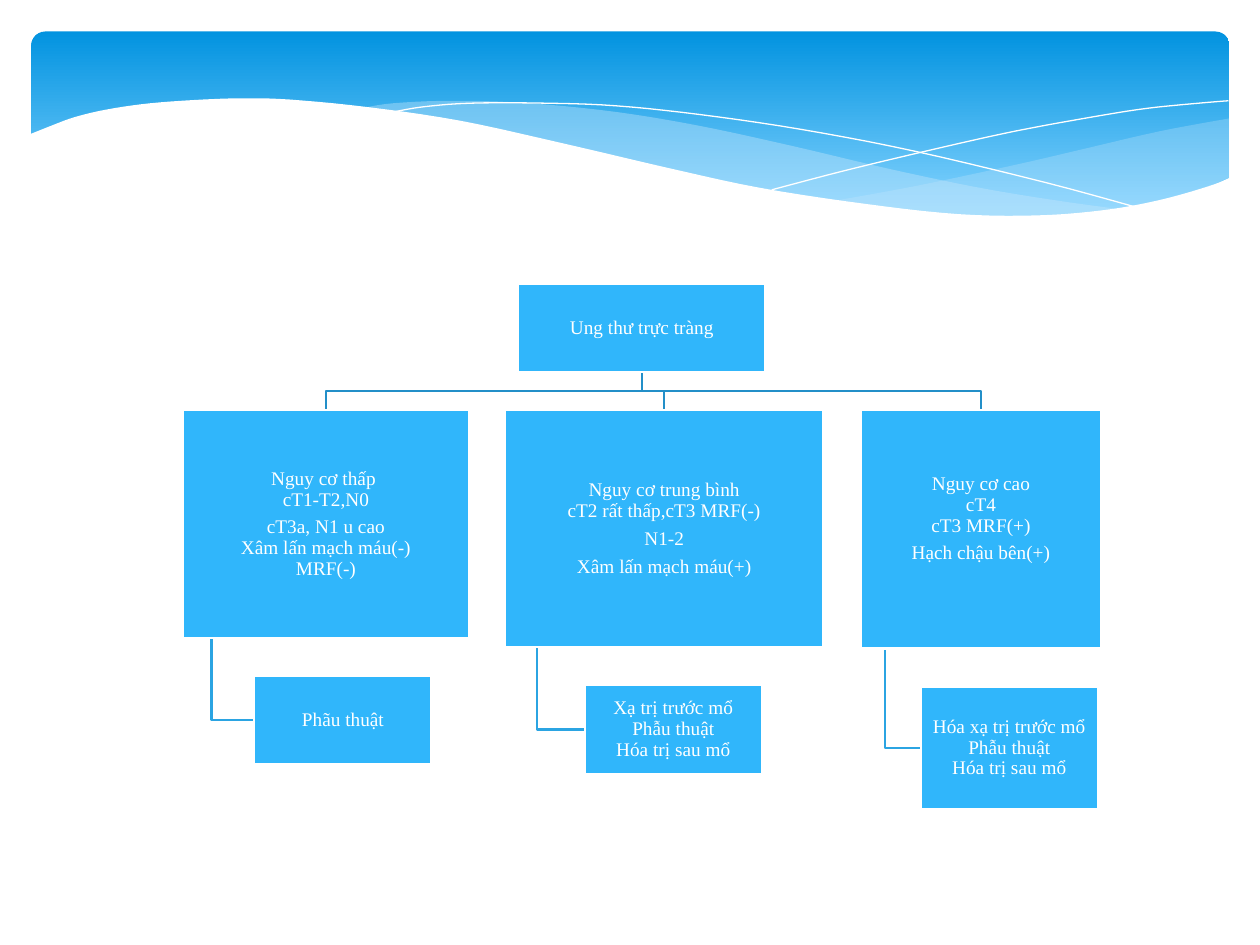
import copy

import pptx
import pptx.dml.color
import pptx.enum.shapes
import pptx.enum.text
import pptx.util
from lxml import etree

Pt = pptx.util.Pt
RGB = pptx.dml.color.RGBColor.from_string
RECTANGLE = pptx.enum.shapes.MSO_SHAPE.RECTANGLE
COLORS = {
    "banner_top": "0293E0", "banner_bottom": "81D2FE", "wave": "C6E7FC",
    "white": "FFFFFF", "box": "30B6FB", "branch": "238FC8", "elbow": "2BA4E2",
}
NS = "http://schemas.openxmlformats.org/drawingml/2006/main"

prs = pptx.Presentation()
prs.slide_width, prs.slide_height = Pt(720), Pt(540)
slide = prs.slides.add_slide(prs.slide_layouts[6])


def smooth(knots, steps=5):
    """Points of a Catmull-Rom curve through the knots."""
    ends = [knots[0], *knots, knots[-1]]
    points = [knots[0]]
    for a, b, c, d in zip(ends, ends[1:], ends[2:], ends[3:]):
        for step in range(1, steps + 1):
            t = step / steps
            points.append(tuple(
                (2 * q + (r - p) * t + (2 * p - 5 * q + 4 * r - s) * t**2
                 + (3 * q - p - 3 * r + s) * t**3) / 2
                for p, q, r, s in zip(a, b, c, d)))
    return points


def draw_path(points, fill=None, opacity=100, line=None, width=0.75):
    """Closed area when a fill is given, otherwise an open line."""
    points = [(Pt(x), Pt(y)) for x, y in points]
    builder = slide.shapes.build_freeform(*points[0], scale=1.0)
    builder.add_line_segments(points[1:], close=fill is not None)
    path = builder.convert_to_shape()
    path.shadow.inherit = False
    if fill:
        path.fill.solid()
        path.fill.fore_color.rgb = RGB(COLORS[fill])
        if opacity < 100:
            color = path.fill._xPr.find(f".//{{{NS}}}srgbClr")
            etree.SubElement(color, f"{{{NS}}}alpha", val=str(opacity * 1000))
    else:
        path.fill.background()
    if line:
        path.line.color.rgb = RGB(COLORS[line])
        path.line.width = Pt(width)
    else:
        path.line.fill.background()


# Banner with gradient
banner = slide.shapes.add_shape(
    pptx.enum.shapes.MSO_SHAPE.ROUNDED_RECTANGLE, Pt(18), Pt(18), Pt(684.5), Pt(112.5))
banner.adjustments[0] = 0.07
banner.shadow.inherit = False
banner.line.fill.background()
banner.fill.gradient()
banner.fill.gradient_angle = 270
for stop, name, position in zip(banner.fill.gradient_stops,
                                ("banner_top", "banner_bottom"), (0, 0.9)):
    stop.color.rgb = RGB(COLORS[name])
    stop.position = position

# Translucent waves: upper edge, then lower edge
right_upper = [(702.5, 67.7), (663, 75), (620, 85), (580, 94.3), (525, 106), (476, 115)]
right_lower = [(476, 115), (508, 119), (545, 122.4), (578, 124), (608, 123),
               (634, 120.5), (663, 115), (683, 109.5), (702.5, 101.5)]
middle_upper = [(206, 62), (225, 59), (260, 57.6), (302, 59), (352, 64), (400, 72),
                (453, 83.5), (508, 96.5), (558, 107), (603, 114.5), (643, 120)]
middle_lower = [(643, 120), (617, 123), (589, 124.5), (557, 124), (520, 121), (479, 116),
                (433, 108), (382, 97), (323, 83.5), (276, 73), (233, 65), (206, 62)]
draw_path(smooth(right_upper) + smooth(right_lower), "wave", 29)
draw_path(smooth(middle_upper) + smooth(middle_lower), "wave", 40)

# Thin white curves
falling_curve = [(222.5, 64.5), (241, 61.2), (269, 59), (312, 59), (352, 60.5),
                 (400, 65.5), (458, 74), (523, 86.5), (598, 104.5), (653, 119.5)]
rising_curve = [(441, 108.5), (484, 97.2), (538.5, 84.2), (580, 75), (623.5, 67),
                (655, 62), (685, 59), (702, 57.6)]
for curve in (falling_curve, rising_curve):
    draw_path(smooth(curve), line="white")

# White wave that cuts off the banner
white_edge = [(16.5, 77), (29, 72), (42.5, 67), (61, 62.6), (86, 59), (116, 56.9),
              (139, 56.2), (165.6, 56.9), (210, 61.2), (263, 69), (322, 82), (381, 95.8),
              (434, 107.3), (495, 116.6), (548, 122.4), (592.5, 123.1), (630, 120.2),
              (662, 114.5), (690.5, 106.5), (703.5, 101.3)]
draw_path(smooth(white_edge) + [(703.5, 161), (16.5, 161)], "white")

# Risk groups: left, width, height, criteria, space kept below, action height, treatment
risk_groups = [
    (104.5, 163.5, 130.2,
     ["Nguy cơ thấp \ncT1-T2,N0", "cT3a, N1 u cao\nXâm lấn mạch máu(-)\nMRF(-)"], 0.7,
     50.5, "Phãu thuật"),
    (288.8, 181.5, 135.5,
     ["Nguy cơ trung bình\ncT2 rất thấp,cT3 MRF(-)", "N1-2", "Xâm lấn mạch máu(+)"], 0.7,
     50.5, "Xạ trị trước mổ\nPhẫu thuật\nHóa trị sau mổ"),
    (491.8, 137.5, 136.2,
     ["Nguy cơ cao\ncT4\ncT3 MRF(+)", "Hạch chậu bên(+)"], 12.5,
     70, "Hóa xạ trị trước mổ\nPhẫu thuật\nHóa trị sau mổ"),
]
root_left, root_top, root_width, root_height = 296, 162.3, 141.5, 50.4
root_center, root_bottom = root_left + root_width / 2, root_top + root_height
level_gap = 21.7
group_top = root_bottom + level_gap
branch_y = root_bottom + level_gap / 2
action_width = 101.2

# Connecting lines, and the boxes they lead to
boxes = [(root_left, root_top, root_width, root_height, ["Ung thư trực tràng"], 0.7)]
for left, width, height, criteria, space_below, action_height, treatment in risk_groups:
    center, bottom = left + width / 2, group_top + height
    action_left, action_top = left + width / 4, bottom + level_gap
    action_middle = action_top + action_height / 2
    elbow_x = left + width / 10
    draw_path([(root_center, root_bottom), (root_center, branch_y),
               (center, branch_y), (center, group_top)], line="branch", width=1.25)
    draw_path([(elbow_x, bottom), (elbow_x, action_middle),
               (action_left, action_middle)], line="elbow", width=1.25)
    boxes.append((left, group_top, width, height, criteria, space_below))
    boxes.append((action_left, action_top, action_width, action_height, [treatment], 0.7))

# Boxes with text
text_format = {"name": "Times New Roman", "size": Pt(11)}
for left, top, width, height, paragraphs, space_below in boxes:
    box = slide.shapes.add_shape(RECTANGLE, Pt(left), Pt(top), Pt(width), Pt(height))
    box.shadow.inherit = False
    box.fill.solid()
    box.fill.fore_color.rgb = RGB(COLORS["box"])
    box.line.color.rgb = RGB(COLORS["white"])
    box.line.width = Pt(1.25)
    frame = box.text_frame
    frame_format = {
        "word_wrap": True, "vertical_anchor": pptx.enum.text.MSO_ANCHOR.MIDDLE,
        "margin_left": Pt(0.7), "margin_right": Pt(0.7),
        "margin_top": Pt(0.7), "margin_bottom": Pt(space_below),
    }
    for key, value in frame_format.items():
        setattr(frame, key, value)
    for index, text in enumerate(paragraphs):
        paragraph = frame.add_paragraph() if index else frame.paragraphs[0]
        paragraph.text = text
        paragraph.alignment = pptx.enum.text.PP_ALIGN.CENTER
        paragraph.line_spacing = 0.9
        paragraph.space_before = Pt(3.9 if index else 0)
        for run in paragraph.runs:
            for key, value in text_format.items():
                setattr(run.font, key, value)
            run.font.color.rgb = RGB(COLORS["white"])
        # Line breaks take the size of the text around them
        for line_break in paragraph._p.findall(f"{{{NS}}}br"):
            line_break.append(copy.deepcopy(paragraph.runs[0]._r.rPr))

prs.save("out.pptx")
